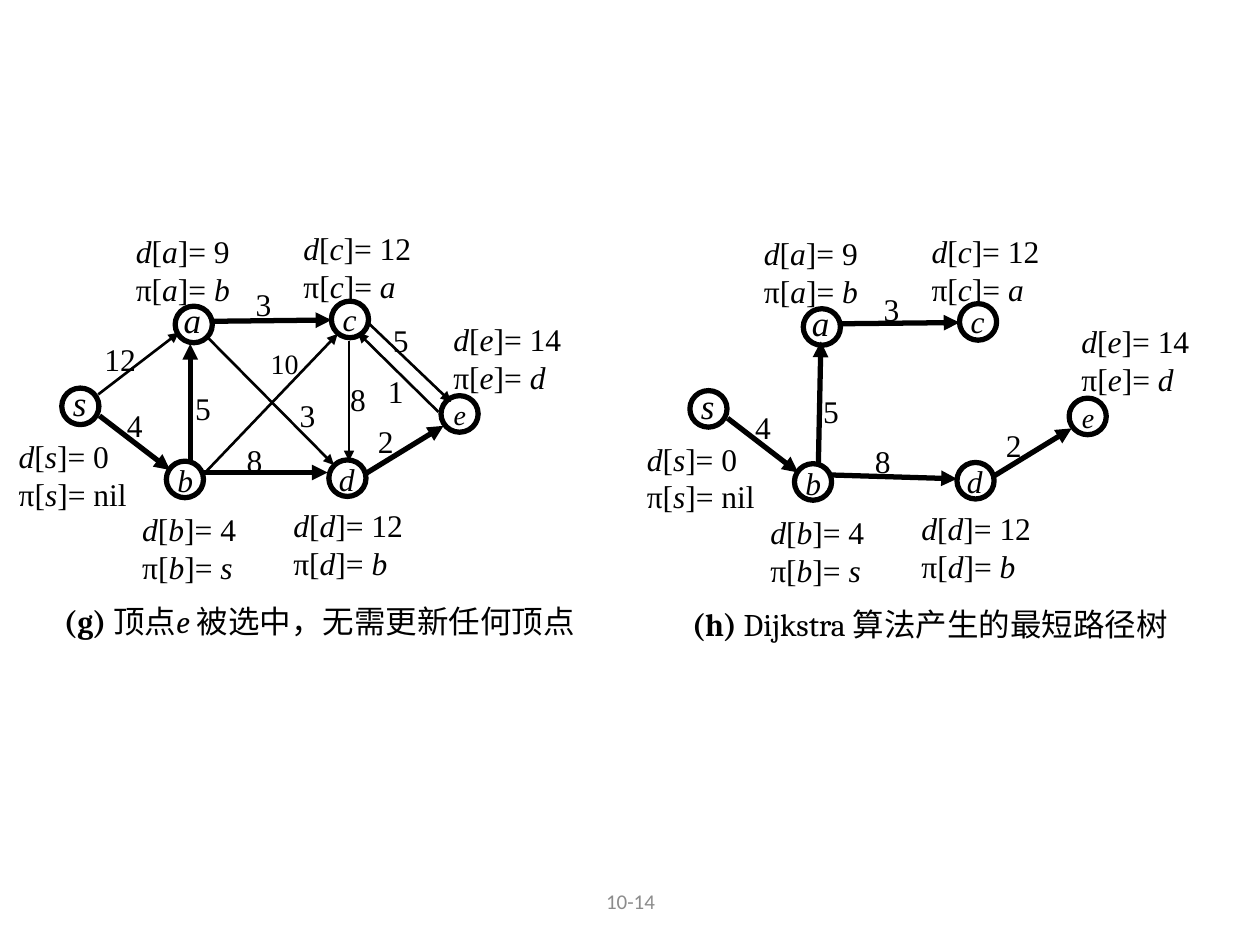
from pptx import Presentation
from pptx.dml.color import RGBColor
from pptx.enum.shapes import MSO_CONNECTOR as Link, MSO_SHAPE as Shape
from pptx.enum.text import MSO_ANCHOR as Anchor, PP_ALIGN as Align
from pptx.oxml.ns import qn
from pptx.util import Inches, Pt
from lxml.etree import SubElement

deck = Presentation()
deck.slide_width, deck.slide_height = Inches(10), Inches(7.5)
slide = deck.slides.add_slide(deck.slide_layouts[6])
cell = deck.slide_width / 100


def tint(hue):
    return RGBColor.from_string(hue)


def write(text, x, y, w, h=3.7, pane=slide, font="Times New Roman", size=18,
          hue="000000", lead="", align=Align.LEFT, anchor=Anchor.TOP):
    box = pane.shapes if pane is slide else pane
    frame = box.add_textbox(*(round(n * cell) for n in (x, y, w, h))).text_frame
    frame.word_wrap = True
    frame.vertical_anchor = anchor
    for row, line in enumerate(text.split("\n")):
        para = frame.add_paragraph() if row else frame.paragraphs[0]
        para.alignment = align
        parts = [(lead, True, False)]
        parts += [(part, False, i % 2 == 1) for i, part in enumerate(line.split("*"))]
        for part, bold, slant in parts:
            if part:
                run = para.add_run()
                run.text = part
                run.font.name, run.font.size = font, Pt(size)
                run.font.bold, run.font.italic = bold, slant
                run.font.color.rgb = tint(hue)


labels = [
    ("a", "9", "*b*", 9.8, 17.9, 12.4),
    ("c", "12", "*a*", 23.1, 17.7, 13.1),
    ("b", "4", "*s*", 10.3, 40, 12.5),
    ("d", "12", "*b*", 22.3, 39.7, 12.7),
    ("e", "14", "*d*", 35, 24.9, 12.3),
    ("s", "0", "nil", 0.5, 34.2, 11.4),
]
nodes = [
    ("a", 20, Align.LEFT, 13.6, 23.2, 2.8, 13.9, 24.3),
    ("b", 18, Align.CENTER, 13, 36.1, 3.4, 13.2, 36.6),
    ("s", 20, Align.LEFT, 4.8, 29.8, 4.6, 4.9, 30.8),
    ("c", 18, Align.LEFT, 26.2, 23.3, 3.1, 26.3, 23.9),
    ("d", 18, Align.LEFT, 25.9, 36, 3.2, 26.1, 36.5),
    ("e", 16, Align.CENTER, 34.8, 31.1, 3.4, 35, 31.4),
]
tree = [
    (16.8, 25.5, 26.3, 25.4, 3),
    (7.9, 33, 13.5, 37.3, 3),
    (29, 37.6, 35.2, 33.8, 3),
]
full = tree + [
    (16.1, 37.5, 26, 37.5, 3),
    (15.1, 36.8, 15.1, 27.3, 3),
    (27.7, 27.1, 27.7, 36.6, 1.5),
    (7.8, 31.3, 14.2, 26.4, 1.5),
    (29.2, 25.6, 35.8, 31.9, 1.5),
    (16.1, 37.7, 26.8, 26.5, 1.5),
    (16.3, 26.6, 26.5, 36.9, 1.5),
    (34.8, 32.7, 28.4, 26.4, 1.5),
]
final = tree + [
    (16.1, 37.5, 26.1, 37.8, 3),
    (15.1, 36.7, 15.3, 26.9, 3),
]
costs = [
    ("12", 7.3, 26.5, 18), ("4", 9.1, 31.7, 18), ("3", 19.3, 22.1, 18),
    ("8", 18.6, 34.5, 18), ("5", 30.2, 25, 18), ("2", 29, 33, 18),
    ("1", 29.8, 29, 18), ("3", 22.8, 30.9, 18), ("10", 20.5, 27, 16),
    ("8", 26.8, 29.7, 18), ("5", 14.5, 30.4, 18),
]
few = [
    ("4", 9.1, 31.7, 18), ("3", 19.3, 22.3, 18), ("8", 18.6, 34.4, 18),
    ("2", 29, 33.1, 18), ("5", 14.5, 30.4, 18),
]
panels = [
    (0, 0, full, costs, "(g) ", "顶点*e *被选中，无需更新任何顶点", 43.3),
    (49.85, 0.2, final, few, "(h) ", "Dijkstra 算法产生的最短路径树", 41.9),
]

for dx, dy, edges, marks, lead, title, wide in panels:
    pane = slide.shapes.add_group_shape().shapes
    for name, dist, prior, x, y, w in labels:
        write(f"*d*[*{name}*]= {dist}\nπ[*{name}*]= {prior}", x + dx, y + dy, w, 7.1,
              pane=pane)
    for name, size, align, x, y, w, left, top in nodes:
        write(f"*{name}*", x + dx, y + dy, w, pane=pane, size=size, align=align)
        ring = pane.add_shape(Shape.OVAL, round((left + dx) * cell),
                              round((top + dy) * cell), round(2.95 * cell),
                              round(2.9 * cell))
        ring.shadow.inherit = False
        ring.fill.background()
        ring.line.color.rgb = tint("000000")
        ring.line.width = Pt(3)
    for x1, y1, x2, y2, thick in edges:
        ends = (x1 + dx, y1 + dy, x2 + dx, y2 + dy)
        edge = pane.add_connector(Link.STRAIGHT, *(round(n * cell) for n in ends))
        edge.line.color.rgb = tint("000000")
        edge.line.width = Pt(thick)
        SubElement(edge.line._get_or_add_ln(), qn("a:tailEnd"), type="triangle")
        SubElement(edge._element.spPr, qn("a:effectLst"))
    for cost, x, y, size in marks:
        write(cost, x + dx, y + dy, 5.6, pane=pane, size=size)
    write(title, 4.1 + dx, 47.3 + dy, wide, 4.4, pane=pane, font="Cambria", lead=lead)

write("10-14", 34.2, 69.5, 31.7, 4, font="Calibri", size=12, hue="8C8C8C",
      align=Align.CENTER, anchor=Anchor.MIDDLE)
deck.save("out.pptx")
